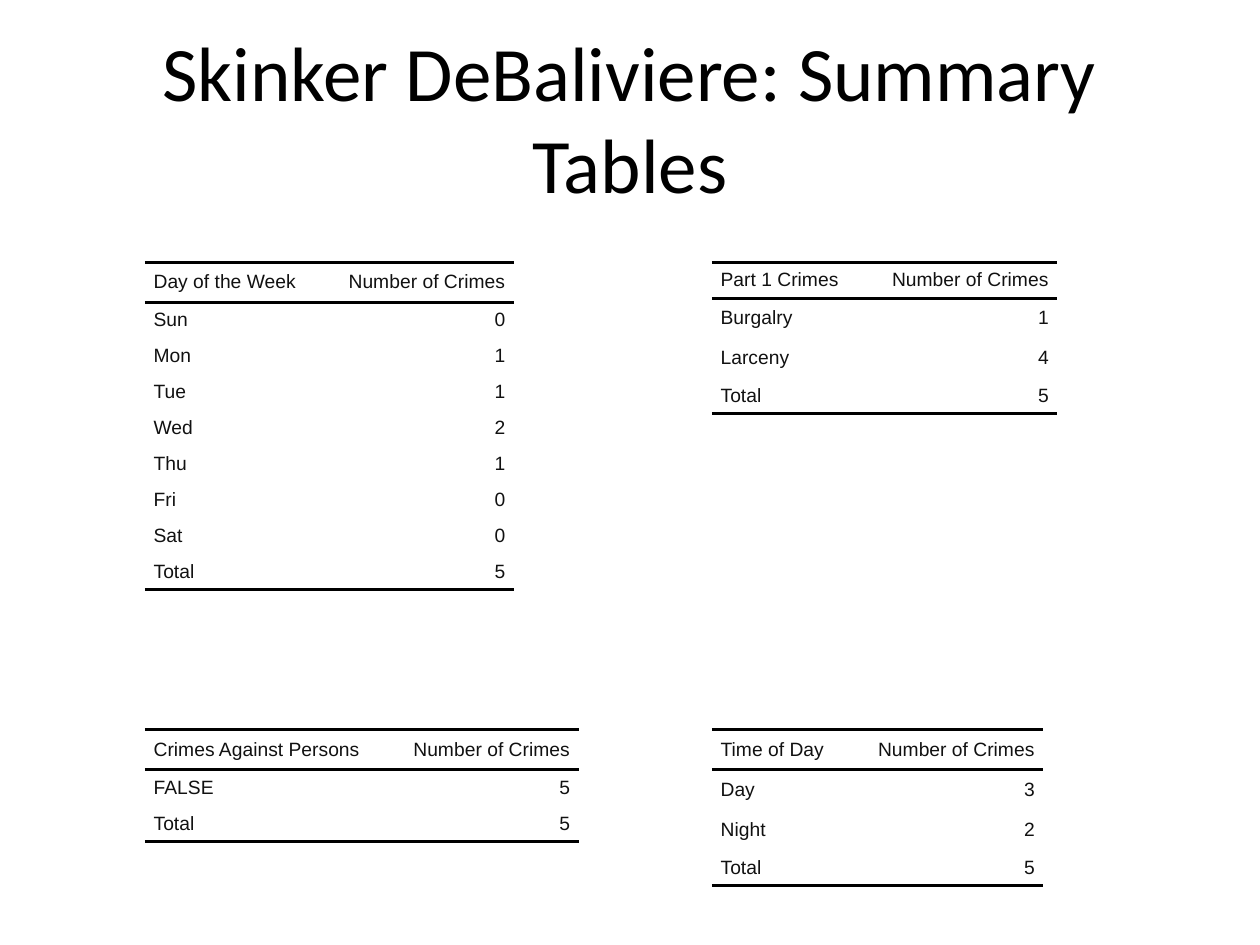
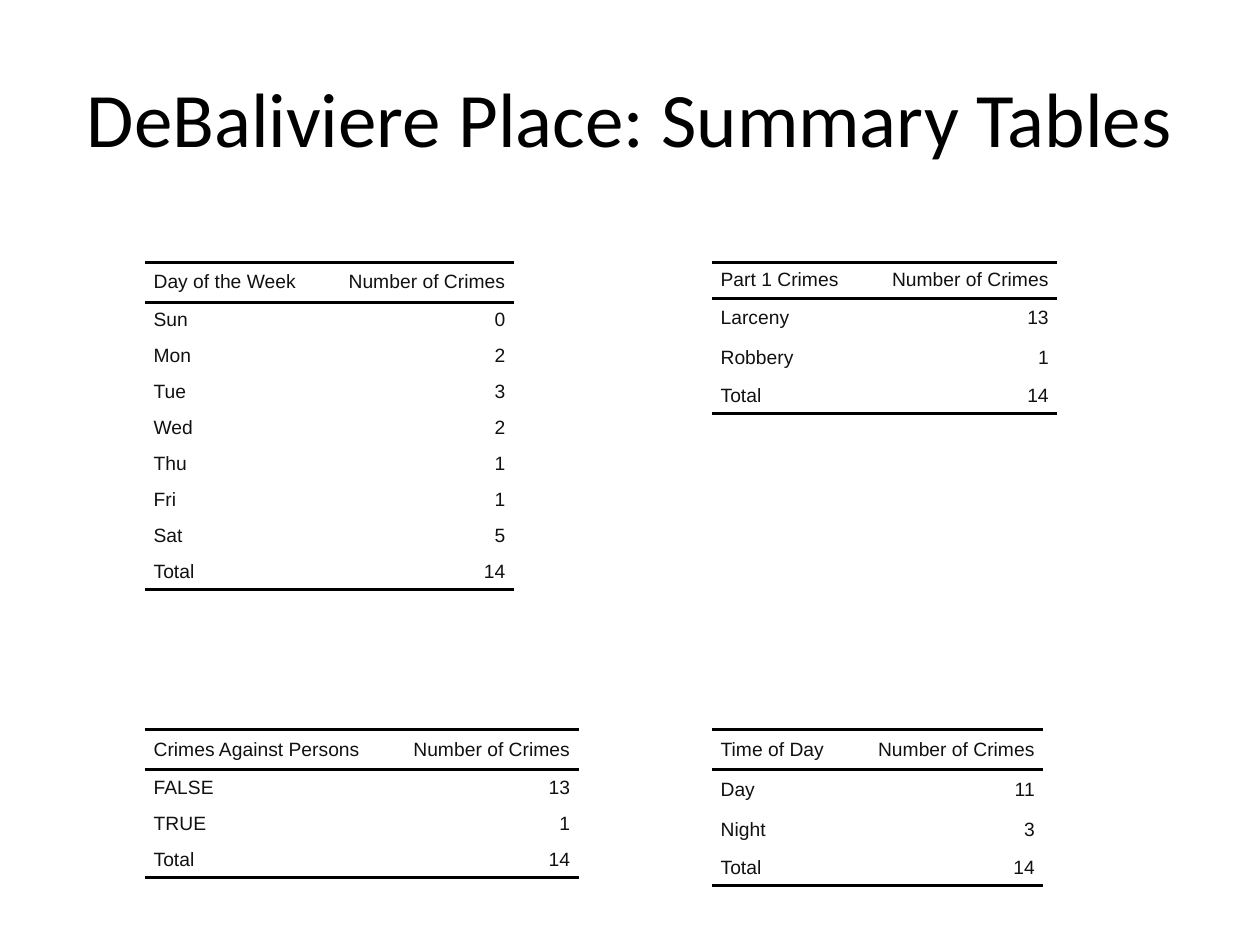
from lxml.etree import SubElement
from pptx import Presentation
from pptx.dml.color import RGBColor
from pptx.enum.text import MSO_ANCHOR, MSO_AUTO_SIZE, PP_ALIGN
from pptx.oxml.ns import qn
from pptx.util import Pt

DAYS = ["Sun", "Mon", "Tue", "Wed", "Thu", "Fri", "Sat"]
NEIGHBORHOODS = [
    ("Skinker DeBaliviere: Summary Tables", {
        "Part 1 Crimes": {"Burgalry": 1, "Larceny": 4},
        "Day of the Week": dict(zip(DAYS, [0, 1, 1, 2, 1, 0, 0])),
        "Crimes Against Persons": {"FALSE": 5},
        "Time of Day": {"Day": 3, "Night": 2},
    }),
    ("DeBaliviere Place: Summary Tables", {
        "Part 1 Crimes": {"Larceny": 13, "Robbery": 1},
        "Day of the Week": dict(zip(DAYS, [0, 2, 3, 2, 1, 1, 5])),
        "Crimes Against Persons": {"FALSE": 13, "TRUE": 1},
        "Time of Day": {"Day": 11, "Night": 3},
    }),
]

LEFT, RIGHT = 82.8, 406.8
TOP, BOTTOM = 149.76, 416.88
SHORT_ROW, TALL_ROW = 20.57, 22.86
COUNT_HEADING, COUNT_WIDTH = "Number of Crimes", 109.5
CELL_INDENT = 5
# heading: left, top, label width, header height, body row height
LAYOUT = {
    "Part 1 Crimes": (RIGHT, TOP, 88, SHORT_ROW, TALL_ROW),
    "Day of the Week": (LEFT, TOP, 101.5, TALL_ROW, SHORT_ROW),
    "Crimes Against Persons": (LEFT, BOTTOM, 138.5, TALL_ROW, SHORT_ROW),
    "Time of Day": (RIGHT, BOTTOM, 80, TALL_ROW, TALL_ROW),
}

BLACK, TEXT = "000000", "111111"
RULE_WIDTH = 2
PLAIN_TABLE_STYLE = "{2D5ABB26-0587-4C30-8999-92F81FD0307C}"


def color(value):
    return RGBColor.from_string(value)


def style_text(paragraph, font_name, size, value, alignment):
    paragraph.alignment = alignment
    for run in paragraph.runs:
        run.font.name = font_name
        run.font.size = Pt(size)
        run.font.color.rgb = color(value)


def add_title(slide, title):
    box = slide.shapes.add_textbox(Pt(36), Pt(21.6), Pt(648), Pt(90))
    frame = box.text_frame
    frame.word_wrap = True
    frame.auto_size = MSO_AUTO_SIZE.NONE
    frame.vertical_anchor = MSO_ANCHOR.MIDDLE
    frame.text = title
    style_text(frame.paragraphs[0], "Calibri", 44, BLACK, PP_ALIGN.CENTER)


def add_rule(cell, side):
    """Draw one cell border; side is lnT or lnB."""
    line = SubElement(cell._tc.get_or_add_tcPr(), qn(f"a:{side}"), w=str(Pt(RULE_WIDTH)))
    fill = SubElement(line, qn("a:solidFill"))
    SubElement(fill, qn("a:srgbClr"), val=BLACK)


def fill_cell(cell, text, alignment, sides):
    cell.margin_left = cell.margin_right = Pt(CELL_INDENT)
    cell.margin_top = cell.margin_bottom = 0
    cell.vertical_anchor = MSO_ANCHOR.MIDDLE
    cell.text_frame.text = text
    style_text(cell.text_frame.paragraphs[0], "Arial", 11, TEXT, alignment)
    for side in sides:
        add_rule(cell, side)
    cell.fill.background()


def add_summary_table(slide, heading, counts):
    left, top, label_width, header_height, body_height = LAYOUT[heading]
    rows = [(heading, COUNT_HEADING), *counts.items(), ("Total", sum(counts.values()))]
    heights = [header_height] + [body_height] * len(counts) + [SHORT_ROW]
    widths = [label_width, COUNT_WIDTH]
    shape = slide.shapes.add_table(len(rows), 2, Pt(left), Pt(top),
                                   Pt(sum(widths)), Pt(sum(heights)))
    table = shape.table
    table.first_row = table.horz_banding = False
    for style in shape.element.iter(qn("a:tableStyleId")):
        style.text = PLAIN_TABLE_STYLE
    for column, width in zip(table.columns, widths):
        column.width = Pt(width)
    rules = {0: ["lnT", "lnB"], len(rows) - 1: ["lnB"]}
    for index, (values, height) in enumerate(zip(rows, heights)):
        table.rows[index].height = Pt(height)
        for column, alignment in enumerate([PP_ALIGN.LEFT, PP_ALIGN.RIGHT]):
            fill_cell(table.cell(index, column), str(values[column]),
                      alignment, rules.get(index, []))


def main():
    presentation = Presentation()
    presentation.slide_width, presentation.slide_height = Pt(720), Pt(540)
    for title, tables in NEIGHBORHOODS:
        slide = presentation.slides.add_slide(presentation.slide_layouts[6])
        add_title(slide, title)
        for heading, counts in tables.items():
            add_summary_table(slide, heading, counts)
    presentation.save("out.pptx")


if __name__ == "__main__":
    main()
